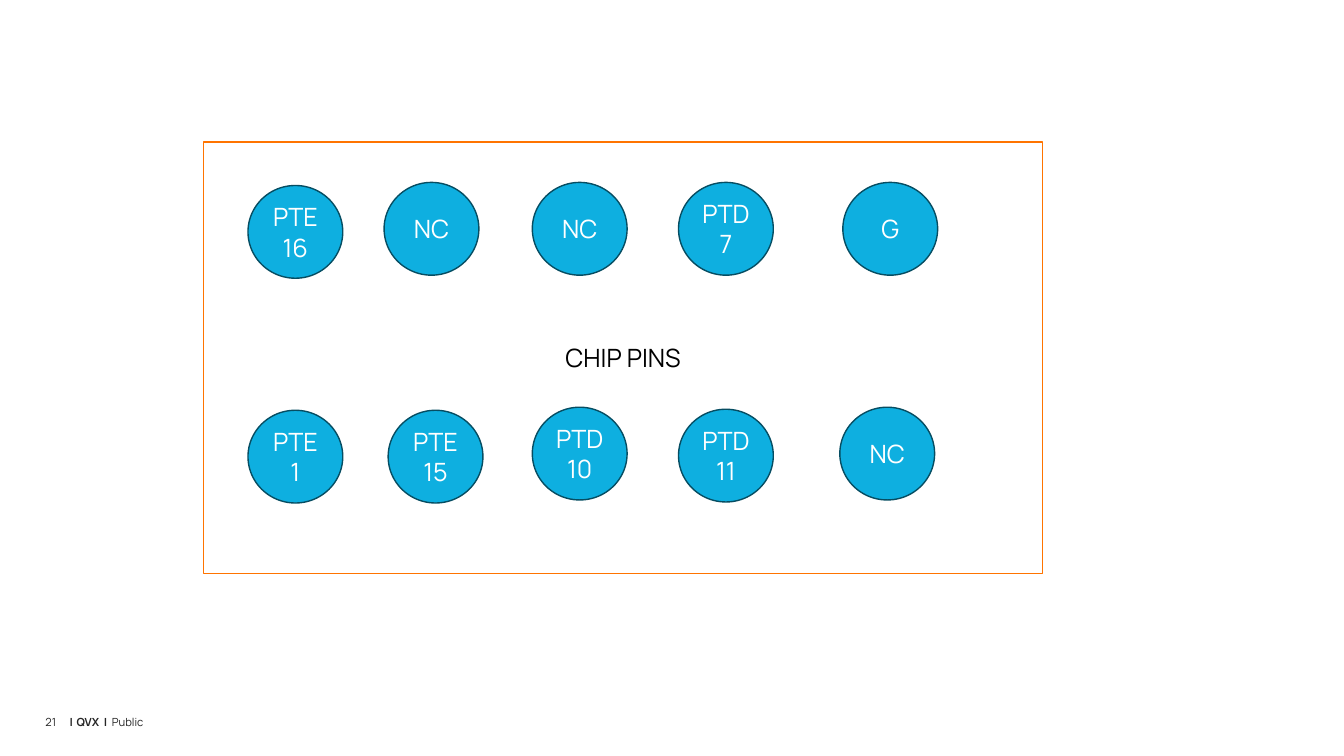
from lxml import etree
from pptx import Presentation
from pptx import util as u
from pptx.dml.color import RGBColor
from pptx.enum import shapes, text
from pptx.oxml import ns

WHITE = RGBColor(0xFF, 0xFF, 0xFF)
BLACK = RGBColor(0x00, 0x00, 0x00)
ORANGE = RGBColor(0xFF, 0x74, 0x00)
PIN_BLUE = RGBColor(0x0E, 0xAF, 0xE0)
PIN_EDGE = RGBColor(0x06, 0x4D, 0x62)
FOOTER_GREY = RGBColor(0x26, 0x26, 0x26)
FONT = "Manrope"
PIN_WIDTH, PIN_HEIGHT = 0.94, 0.92
PINS = [
    ("PTE16", 2.46, 1.84),
    ("NC", 3.81, 1.81),
    ("NC", 5.28, 1.81),
    ("PTD7", 6.73, 1.81),
    ("G", 8.36, 1.81),
    ("PTE1", 2.46, 4.07),
    ("PTE15", 3.85, 4.07),
    ("PTD10", 5.28, 4.04),
    ("PTD11", 6.73, 4.06),
    ("NC", 8.33, 4.04),
]


def add_run(paragraph, words, size, color, bold=False):
    run = paragraph.add_run()
    run.text = words
    run.font.name = FONT
    run.font.size = u.Pt(size)
    run.font.bold = bold
    run.font.color.rgb = color


def add_tab_stops(paragraph, positions):
    properties = paragraph._p.get_or_add_pPr()
    tab_list = etree.SubElement(properties, ns.qn("a:tabLst"))
    for position in positions:
        tab = etree.SubElement(tab_list, ns.qn("a:tab"))
        tab.set("pos", str(u.Inches(position)))
        tab.set("algn", "l")


def add_footer(slide, left, width, runs, tab_stops=()):
    box = slide.shapes.add_textbox(
        u.Inches(left), u.Inches(7), u.Inches(width), u.Inches(0.19))
    frame = box.text_frame
    frame.word_wrap = True
    frame.margin_left = frame.margin_right = 0
    frame.margin_top = frame.margin_bottom = 0
    paragraph = frame.paragraphs[0]
    paragraph.line_spacing = u.Pt(16.8)
    if tab_stops:
        add_tab_stops(paragraph, tab_stops)
    for words, bold in runs:
        add_run(paragraph, words, 8, FOOTER_GREY, bold)


def add_labelled_shape(group, kind, box, label, fill, edge, color):
    shape = group.shapes.add_shape(kind, *(u.Inches(length) for length in box))
    shape.shadow.inherit = False
    shape.fill.solid()
    shape.fill.fore_color.rgb = fill
    shape.line.color.rgb = edge
    shape.line.width = u.Pt(1)
    frame = shape.text_frame
    frame.word_wrap = True
    frame.vertical_anchor = text.MSO_ANCHOR.MIDDLE
    paragraph = frame.paragraphs[0]
    paragraph.alignment = text.PP_ALIGN.CENTER
    add_run(paragraph, label, 18, color)


def add_pin(group, label, left, top):
    add_labelled_shape(group, shapes.MSO_SHAPE.OVAL,
                       (left, top, PIN_WIDTH, PIN_HEIGHT),
                       label, PIN_BLUE, PIN_EDGE, WHITE)


def main():
    presentation = Presentation()
    presentation.slide_width = u.Inches(13.33)
    presentation.slide_height = u.Inches(7.5)
    slide = presentation.slides.add_slide(presentation.slide_layouts[6])

    add_footer(slide, 0.69, 4.44,
               [("|\tQVX\t|\t", True), ("Public", False)],
               tab_stops=(0.07, 0.34, 0.42))
    add_footer(slide, 0.45, 0.18, [("21", False)])

    connector_group = slide.shapes.add_group_shape()
    add_labelled_shape(connector_group, shapes.MSO_SHAPE.RECTANGLE,
                       (2.02, 1.41, 8.32, 4.28),
                       "CHIP PINS", WHITE, ORANGE, BLACK)
    for label, left, top in PINS:
        add_pin(connector_group, label, left, top)

    presentation.save("out.pptx")


if __name__ == "__main__":
    main()
